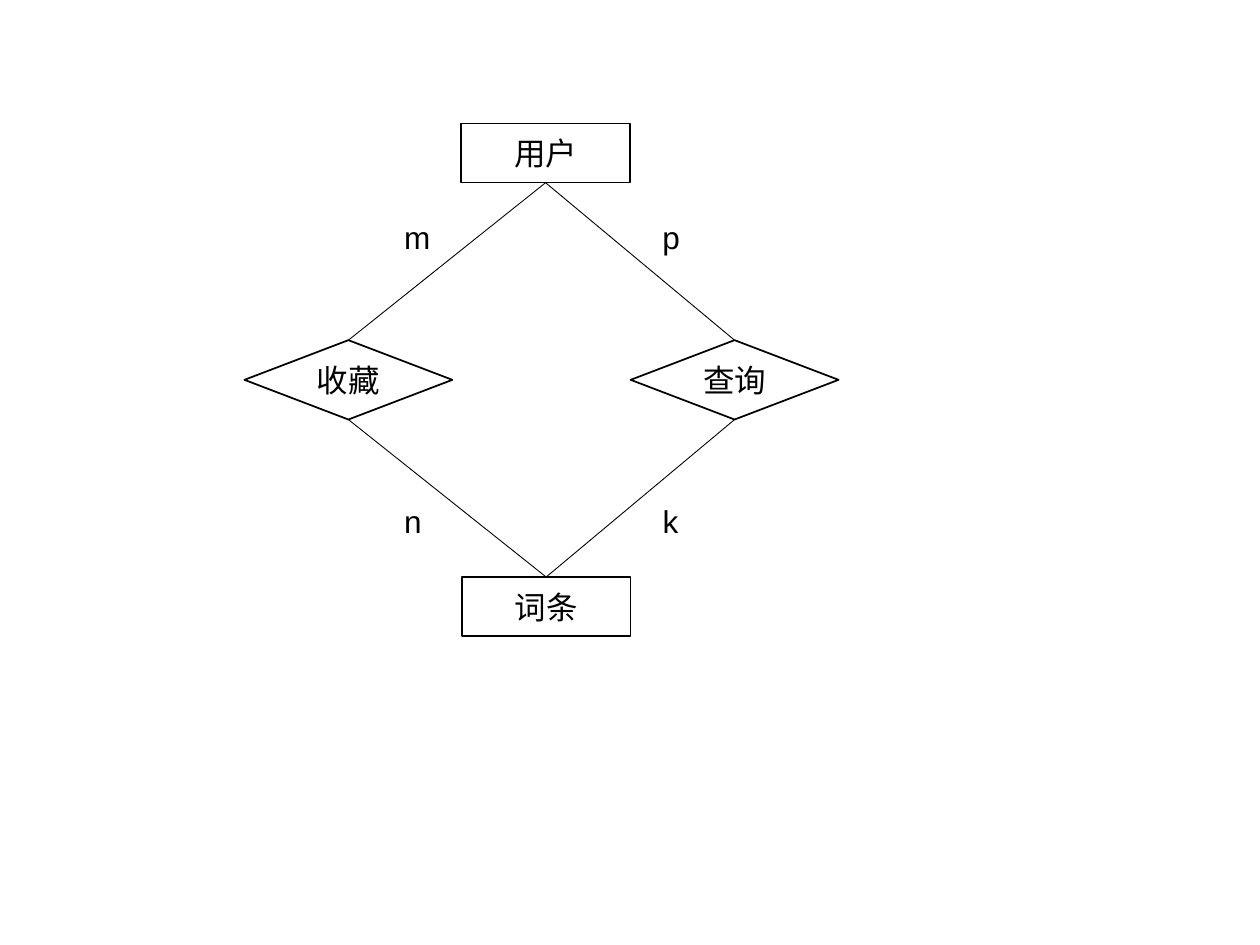
from typing import NamedTuple

from lxml.etree import SubElement
from pptx import Presentation
from pptx.dml.color import RGBColor
from pptx.enum.shapes import MSO_CONNECTOR, MSO_SHAPE as Preset
from pptx.enum.text import MSO_ANCHOR as Anchor, MSO_AUTO_SIZE as AutoSize, PP_ALIGN as Align
from pptx.oxml.ns import qn
from pptx.util import Inches, Pt

SLIDE_W, SLIDE_H = Inches(10), Inches(7.5)
BLACK = "000000"
TOP, BOTTOM = 0, 2  # connection sites of rectangles and diamonds

# Positions and sizes are percentages of the slide's width and height.
ENTITY_SIZE = (13.4, 6.27)
RELATION_SIZE = (16.5, 8.4)
ENTITY_X, RELATION_Y = 43.3, 40.2
ENTITY_OFFSET = 24


class Node(NamedTuple):
    name: str
    preset: Preset
    center: tuple[float, float]
    size: tuple[float, float]


class Cardinality(NamedTuple):
    symbol: str
    left: float
    top: float
    width: float


USER = Node("用户", Preset.RECTANGLE, (ENTITY_X, RELATION_Y - ENTITY_OFFSET), ENTITY_SIZE)
ENTRY = Node("词条", Preset.RECTANGLE, (ENTITY_X + 0.05, RELATION_Y + ENTITY_OFFSET), ENTITY_SIZE)
QUERY = Node("查询", Preset.DIAMOND, (58.3, RELATION_Y), RELATION_SIZE)
FAVORITE = Node("收藏", Preset.DIAMOND, (27.65, RELATION_Y), RELATION_SIZE)

CARDINALITIES = [
    Cardinality("m", 31.1, 22.4, 4.1),
    Cardinality("p", 51.6, 22.4, 3.4),
    Cardinality("n", 31.1, 52.5, 3.4),
    Cardinality("k", 51.6, 52.5, 3.2),
]


def color(hex_value: str) -> RGBColor:
    return RGBColor.from_string(hex_value)


def across(percent: float) -> int:
    return round(SLIDE_W * percent / 100)


def down(percent: float) -> int:
    return round(SLIDE_H * percent / 100)


def write(paragraph, text: str) -> None:
    run = paragraph.add_run()
    run.text = text
    run.font.name = "Arial"
    run.font.size = Pt(18)
    run.font.color.rgb = color(BLACK)


def draw_node(shapes, node: Node):
    (x, y), (width, height) = node.center, node.size
    shape = shapes.add_shape(node.preset, across(x - width / 2), down(y - height / 2),
                             across(width), down(height))
    shape.shadow.inherit = False
    shape.fill.background()
    shape.line.color.rgb = color(BLACK)
    shape.line.width = Pt(1)
    frame = shape.text_frame
    frame.vertical_anchor = Anchor.MIDDLE
    # The diamond's text area is narrow, so its label stays on one line.
    frame.word_wrap = False
    frame.paragraphs[0].alignment = Align.CENTER
    write(frame.paragraphs[0], node.name)
    return shape


def draw_link(shapes, upper, lower) -> None:
    """Join the bottom of the upper node to the top of the lower one."""
    link = shapes.add_connector(MSO_CONNECTOR.STRAIGHT, 0, 0, 0, 0)
    link.begin_connect(upper, BOTTOM)
    link.end_connect(lower, TOP)
    link.line.color.rgb = color(BLACK)
    link.line.width = Pt(0.5)
    SubElement(link._element.spPr, qn("a:effectLst"))


def draw_cardinality(shapes, label: Cardinality) -> None:
    box = shapes.add_textbox(across(label.left), down(label.top),
                             across(label.width), Inches(0.4))
    frame = box.text_frame
    frame.word_wrap = False
    frame.auto_size = AutoSize.SHAPE_TO_FIT_TEXT
    write(frame.paragraphs[0], label.symbol)


def main() -> None:
    deck = Presentation()
    deck.slide_width, deck.slide_height = SLIDE_W, SLIDE_H
    slide = deck.slides.add_slide(deck.slide_layouts[6])
    diagram = slide.shapes.add_group_shape().shapes

    user, entry, query, favorite = (
        draw_node(diagram, node) for node in (USER, ENTRY, QUERY, FAVORITE))
    for upper, lower in ((user, query), (user, favorite), (query, entry), (favorite, entry)):
        draw_link(diagram, upper, lower)
    for label in CARDINALITIES:
        draw_cardinality(diagram, label)

    deck.save("out.pptx")


if __name__ == "__main__":
    main()
